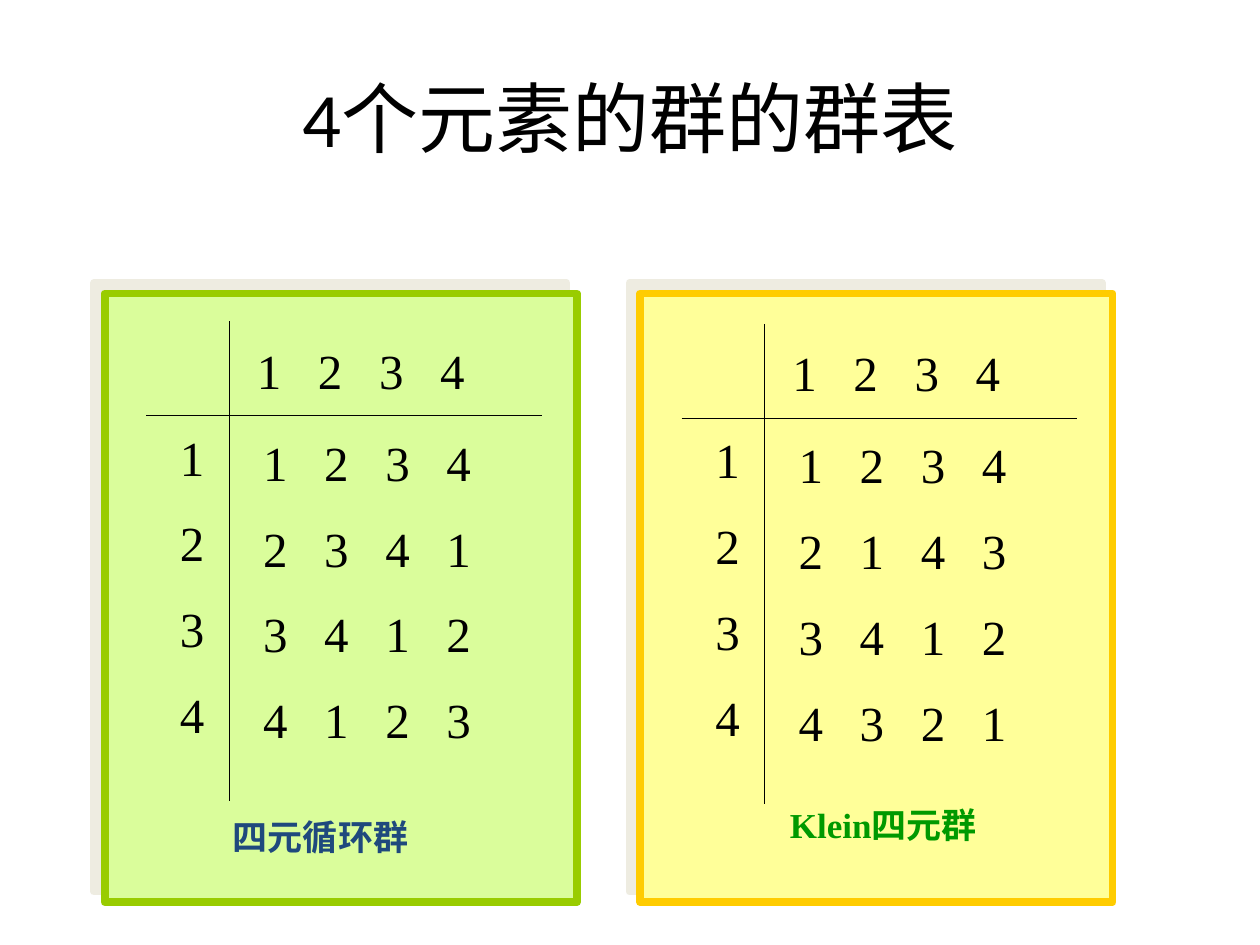
from lxml import etree
from pptx import Presentation
from pptx.dml.color import RGBColor
from pptx.enum.shapes import MSO_CONNECTOR, MSO_SHAPE
from pptx.enum.text import MSO_ANCHOR, PP_ALIGN
from pptx.oxml.ns import qn
from pptx.util import Inches, Pt

RECTANGLE = MSO_SHAPE.RECTANGLE
STRAIGHT = MSO_CONNECTOR.STRAIGHT
MIDDLE = MSO_ANCHOR.MIDDLE
CENTER = PP_ALIGN.CENTER
WIDTH, HEIGHT = 10, 7.5
DIGIT_STEP = 0.485
PANEL_LEFT, PANEL_STEP = 0.83, 4.25
SERIF = {"name": "Times New Roman", "size": Pt(28)}
CAPTION = {"name": "Times New Roman", "size": Pt(20), "bold": True}
TITLE = {"name": "Calibri", "size": Pt(44)}

GROUPS = [
    {"fill": "DAFD9B", "line": "99CC00", "drop": 0,
     "rows": ["1234", "2341", "3412", "4123"],
     "caption": "四元循环群", "color": "1F497D", "caption_at": (0.92, 6.42)},
    {"fill": "FFFF99", "line": "FFCC00", "drop": 0.02,
     "rows": ["1234", "2143", "3412", "4321"],
     "caption": "Klein四元群", "color": "009900", "caption_at": (1.09, 6.33)},
]


def color(value):
    """Turn a hex string into a colour."""
    return RGBColor.from_string(value)


def inches(*lengths):
    """Convert several lengths to slide units."""
    return [Inches(length) for length in lengths]


def apply(target, values):
    """Set attributes from a dict."""
    for name, value in values.items():
        setattr(target, name, value)


def add_tab_stops(paragraph, count):
    """Set evenly spaced tab stops for a row of digits."""
    stops = etree.SubElement(paragraph._p.get_or_add_pPr(), qn("a:tabLst"))
    for index in range(1, count):
        etree.SubElement(stops, qn("a:tab"), pos=str(Inches(index * DIGIT_STEP)), algn="l")


def add_text(slide, box, lines, font, text_color="000000", frame=None, layout=None):
    """Add a text box with one paragraph per line."""
    text_frame = slide.shapes.add_textbox(*inches(*box)).text_frame
    text_frame.word_wrap = True
    apply(text_frame, frame or {})
    for index, line in enumerate(lines):
        paragraph = text_frame.add_paragraph() if index else text_frame.paragraphs[0]
        apply(paragraph, layout or {"space_before": Pt(15.5)})
        if "\t" in line:
            add_tab_stops(paragraph, len(line.split("\t")))
        run = paragraph.add_run()
        run.text = line
        apply(run.font, font)
        run.font.color.rgb = color(text_color)


def add_panel(slide, left, fill, line):
    """Add a framed panel with a hard shadow to the upper left."""
    shape = slide.shapes.add_shape(RECTANGLE, *inches(left, 2.33, 3.75, 4.83))
    shape.fill.solid()
    shape.fill.fore_color.rgb = color(fill)
    shape.line.color.rgb = color(line)
    shape.line.width = Pt(4.5)
    shape.shadow.inherit = False
    effects = shape._element.spPr.find(qn("a:effectLst"))
    shadow = etree.SubElement(effects, qn("a:outerShdw"), dist=str(Pt(8.5)),
                              dir=str(225 * 60000), algn="ctr", rotWithShape="0")
    etree.SubElement(shadow, qn("a:srgbClr"), val="EEECE1")


def add_rule(slide, *ends):
    """Add a thin black line."""
    line = slide.shapes.add_connector(STRAIGHT, *inches(*ends))
    line.line.color.rgb = color("000000")
    line.line.width = Pt(0.75)
    etree.SubElement(line._element.spPr, qn("a:effectLst"))


def add_group_table(slide, left, group):
    """Add one panel with its group table and caption."""
    drop = group["drop"]
    rows = ["\t".join(row) for row in group["rows"]]
    add_panel(slide, left, group["fill"], group["line"])
    add_text(slide, (left + 1.16, 3.38 + drop, 2.17, 2.67), rows, SERIF)
    add_text(slide, (left + 0.5, 3.34 + drop, 0.58, 2.67), group["rows"][0], SERIF)
    add_text(slide, (left + 1.11, 2.65 + drop, 2.17, 0.57), rows[:1], SERIF)
    add_rule(slide, left + 0.33, 3.3 + drop, left + 3.47, 3.3 + drop)
    add_rule(slide, left + 0.99, 2.55 + drop, left + 0.99, 6.36 + drop)
    indent, top = group["caption_at"]
    add_text(slide, (left + indent, top, 1.92, 0.43), [group["caption"]], CAPTION, group["color"])


def main():
    """Build the slide and save it."""
    presentation = Presentation()
    apply(presentation, {"slide_width": Inches(WIDTH), "slide_height": Inches(HEIGHT)})
    slide = presentation.slides.add_slide(presentation.slide_layouts[6])
    add_text(slide, (0.05 * WIDTH, 0.04 * HEIGHT, 0.9 * WIDTH, 1.25), ["4个元素的群的群表"], TITLE,
             frame={"vertical_anchor": MIDDLE}, layout={"alignment": CENTER})
    for index, group in enumerate(GROUPS):
        add_group_table(slide, PANEL_LEFT + index * PANEL_STEP, group)
    presentation.save("out.pptx")


main()
